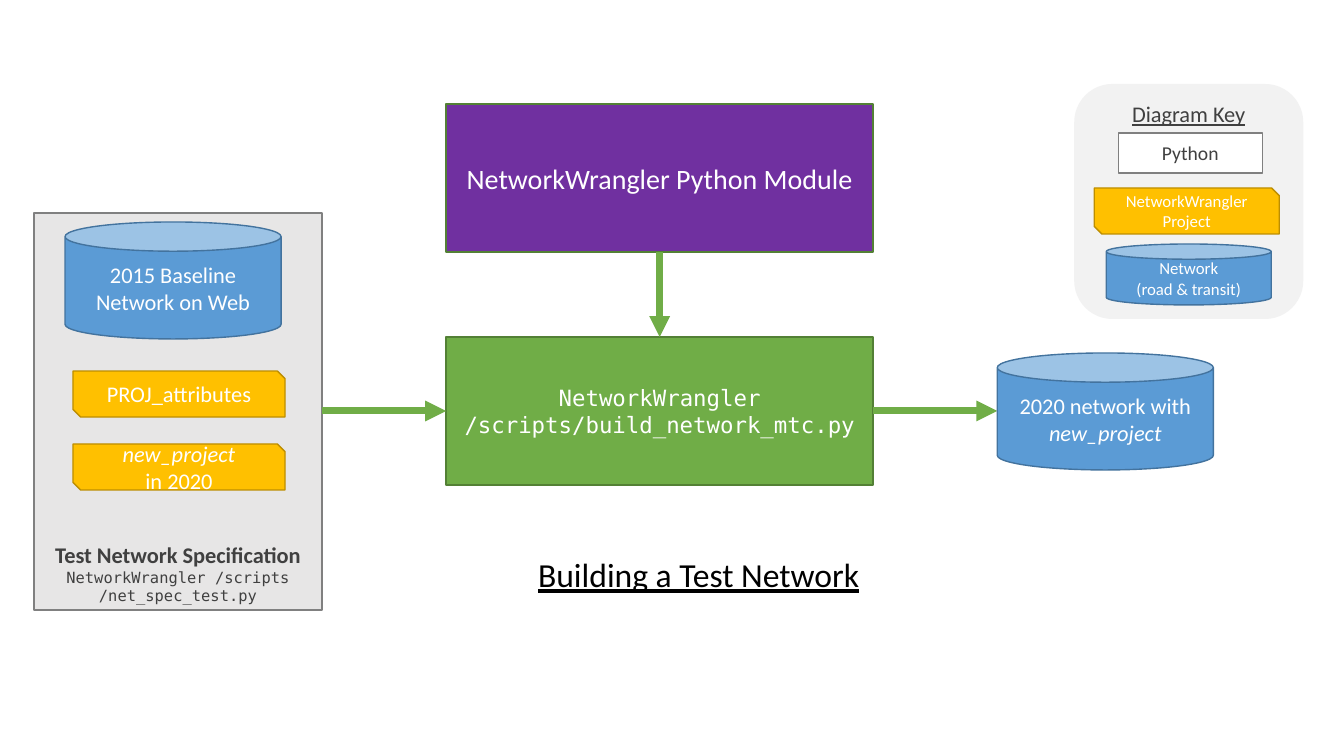
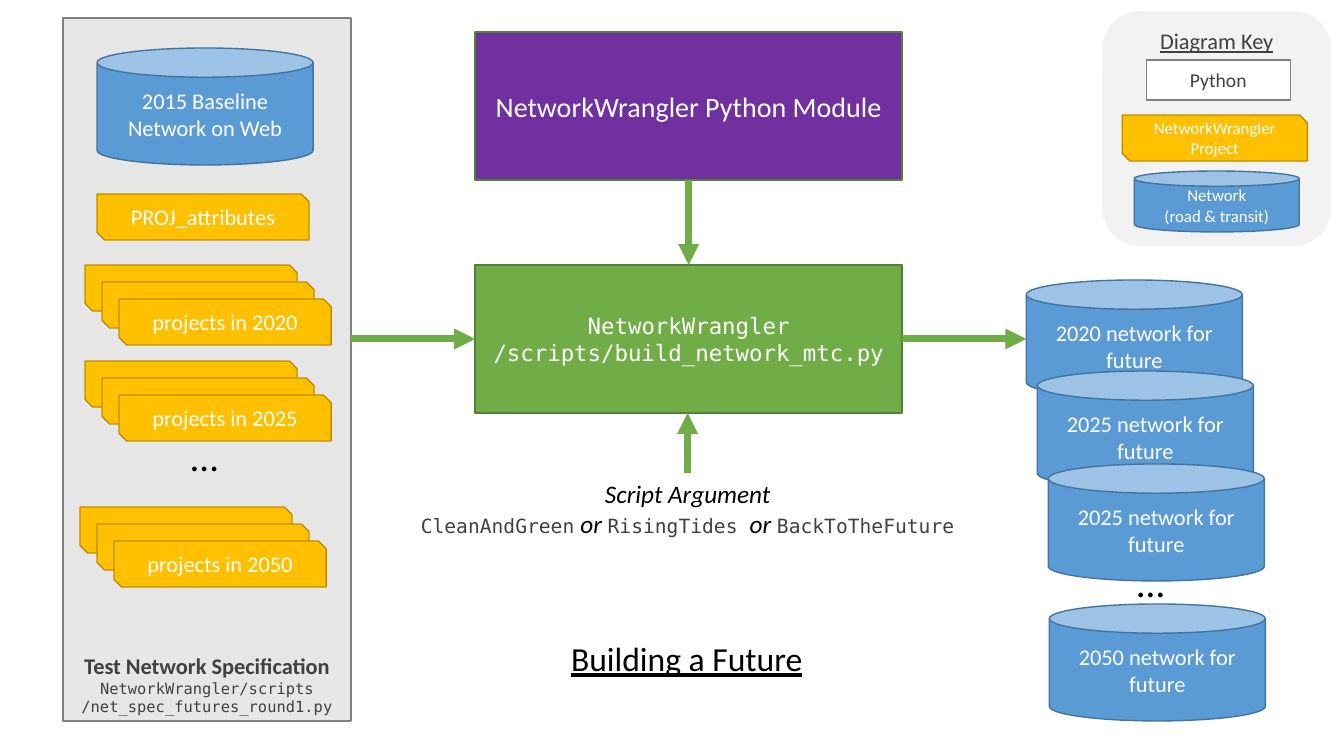
from dataclasses import dataclass, replace
from lxml.etree import SubElement
from pptx import Presentation
from pptx.dml.color import RGBColor
from pptx.enum.shapes import MSO_CONNECTOR, MSO_SHAPE as Shape
from pptx.enum.text import MSO_ANCHOR as Anchor, MSO_AUTO_SIZE as AutoSize, PP_ALIGN as Align
from pptx.oxml.ns import qn
from pptx.util import Inches, Pt

SCALE = Inches(1) / 100.8


@dataclass(frozen=True)
class Type:
    size: int
    color: str = "FFFFFF"
    font: str = "Calibri"
    bold: bool = False
    italic: bool = False
    underline: bool = False


@dataclass(frozen=True)
class Look:
    shape: Shape
    fill: str
    line: str = None
    anchor: Anchor = Anchor.MIDDLE


class Theme:
    ink, grey, mono = "000000", "404040", "DejaVu Sans Mono"
    arrow, arrow_width = "70AD47", 5

    module = Look(Shape.FLOWCHART_PROCESS, "7030A0", "538035")
    script = Look(Shape.FLOWCHART_PROCESS, "70AD47", "538035")
    panel = Look(Shape.FLOWCHART_PROCESS, "E7E6E6", "808080", Anchor.BOTTOM)
    python = Look(Shape.FLOWCHART_PROCESS, "FFFFFF", "808080")
    project = Look(Shape.SNIP_2_DIAG_RECTANGLE, "FFC000", "BD8E00")
    network = Look(Shape.CAN, "5B9BD5", "43739E")
    key = Look(Shape.ROUNDED_RECTANGLE, "F2F2F2", None, Anchor.TOP)

    label = Type(16)
    label_italic = replace(label, italic=True)
    small = Type(12)
    module_name = Type(20)
    script_name = Type(16, font=mono)
    heading = Type(16, grey, bold=True)
    file_name = Type(11, grey, mono)
    key_title = Type(16, grey, underline=True)
    key_python = Type(14, grey)
    title = Type(24, ink, underline=True)
    dots = Type(28, ink)
    note = Type(18, ink, italic=True)
    note_gap = Type(18, grey)
    argument = Type(14, grey, mono)


NETWORK = (216, 117)
PROJECT = (212, 46)
STEP = (427, 148)
ARROW_LENGTH = 124


def px(*lengths):
    return [round(n * SCALE) for n in lengths]


def rgb(color):
    return RGBColor.from_string(color)


def write(tf, paragraphs, align):
    for i, runs in enumerate(paragraphs):
        p = tf.add_paragraph() if i else tf.paragraphs[0]
        p.alignment = align
        for text, style in runs:
            r = p.add_run()
            r.text = text
            f = r.font
            f.name, f.size, f.color.rgb = style.font, Pt(style.size), rgb(style.color)
            f.bold, f.italic, f.underline = style.bold, style.italic, style.underline


def block(s, look, box, *paragraphs):
    sp = s.shapes.add_shape(look.shape, *px(*box))
    sp.shadow.inherit = False
    sp.fill.solid()
    sp.fill.fore_color.rgb = rgb(look.fill)
    if look.line:
        sp.line.color.rgb = rgb(look.line)
        sp.line.width = Pt(1)
    else:
        sp.line.fill.background()
    tf = sp.text_frame
    tf.word_wrap = True
    tf.vertical_anchor = look.anchor
    write(tf, paragraphs, Align.CENTER)


def caption(s, box, *paragraphs, align=Align.LEFT):
    tf = s.shapes.add_textbox(*px(*box)).text_frame
    tf.word_wrap = False
    tf.auto_size = AutoSize.SHAPE_TO_FIT_TEXT
    write(tf, paragraphs, align)


def arrow(s, x1, y1, x2, y2):
    line = s.shapes.add_connector(MSO_CONNECTOR.STRAIGHT, *px(x1, y1, x2, y2))
    line.line.color.rgb = rgb(Theme.arrow)
    line.line.width = Pt(Theme.arrow_width)
    SubElement(line.line._get_or_add_ln(), qn("a:tailEnd"), type="triangle")
    SubElement(line._element.spPr, qn("a:effectLst"))


def network(s, x, y, *runs):
    block(s, Theme.network, (x, y, *NETWORK), runs)


def project(s, x, y, *paragraphs):
    block(s, Theme.project, (x, y, *PROJECT), *paragraphs)


def project_stack(s, x, y, text, shift=17):
    for i in range(2):
        project(s, x + i * shift, y + i * shift)
    project(s, x + 2 * shift, y + 2 * shift, [(text, Theme.label)])


def dots(s, x, y):
    caption(s, (x, y, 47, 57), [("…", Theme.dots)])


def specification(s, box, files, baseline, attributes):
    x, y = box[:2]
    block(s, Theme.panel, box, [("Test Network Specification", Theme.heading)],
          *[[(name, Theme.file_name)] for name in files])
    network(s, x + baseline[0], y + baseline[1],
            ("2015 Baseline Network on Web", Theme.label))
    project(s, x + attributes[0], y + attributes[1], [("PROJ_attributes", Theme.label)])


def build_flow(s, x, y, drop=233):
    w, h = STEP
    script_y = y + drop
    middle_x, middle_y = x + w / 2, script_y + h / 2
    block(s, Theme.module, (x, y, w, h),
          [("NetworkWrangler Python Module", Theme.module_name)])
    block(s, Theme.script, (x, script_y, w, h),
          [("NetworkWrangler /scripts/build_network_mtc.py", Theme.script_name)])
    arrow(s, middle_x, y + h, middle_x, script_y)
    for start in (x - ARROW_LENGTH, x + w):
        arrow(s, start, middle_y, start + ARROW_LENGTH, middle_y)


def diagram_key(s, x, y):
    block(s, Theme.key, (x, y, 229, 235), [("Diagram Key", Theme.key_title)])
    block(s, Theme.project, (x + 20, y + 104, 185, 46),
          [("NetworkWrangler Project", Theme.small)])
    block(s, Theme.python, (x + 44, y + 49, 144, 40), [("Python", Theme.key_python)])
    block(s, Theme.network, (x + 32, y + 160, 165, 61),
          [("Network", Theme.small)], [("(road & transit)", Theme.small)])


def script_argument(s, box, script_bottom):
    middle = box[0] + box[2] / 2
    argument, note = Theme.argument, Theme.note
    caption(s, box, [("Script Argument", note)],
            [("CleanAndGreen", argument), (" ", Theme.note_gap), ("or ", note),
             ("RisingTides ", argument), ("or ", note), ("BackToTheFuture", argument)],
            align=Align.CENTER)
    arrow(s, middle, box[1], middle, script_bottom)


def test_network_slide(s):
    specification(s, (34, 213, 288, 397),
                  ["NetworkWrangler /scripts", "/net_spec_test.py"], (31, 9), (39, 158))
    project(s, 73, 444, [("new_project", Theme.label_italic)], [("in 2020", Theme.label)])
    build_flow(s, 446, 104)
    network(s, 997, 353, ("2020 network with ", Theme.label),
            ("new_project", Theme.label_italic))
    diagram_key(s, 1074, 84)
    caption(s, (528, 549, 345, 50), [("Building a Test Network", Theme.title)])


def future_slide(s):
    specification(s, (63, 18, 288, 703),
                  ["NetworkWrangler/scripts", "/net_spec_futures_round1.py"],
                  (34, 30), (34, 176))
    for x, y, year in ((85, 265, 2020), (85, 361, 2025), (80, 507, 2050)):
        project_stack(s, x, y, f"projects in {year}")
    dots(s, 181, 427)
    build_flow(s, 475, 32)
    script_argument(s, (410, 473, 555, 72), 413)
    for x, y, year in ((1026, 280, 2020), (1037, 371, 2025),
                       (1048, 464, 2025), (1049, 604, 2050)):
        network(s, x, y, (f"{year} network for future", Theme.label))
    dots(s, 1127, 553)
    diagram_key(s, 1102, 11)
    caption(s, (561, 633, 254, 50), [("Building a Future", Theme.title)])


prs = Presentation()
prs.slide_width, prs.slide_height = Inches(13.33), Inches(7.5)
for draw in (test_network_slide, future_slide):
    draw(prs.slides.add_slide(prs.slide_layouts[6]))
prs.save("out.pptx")
